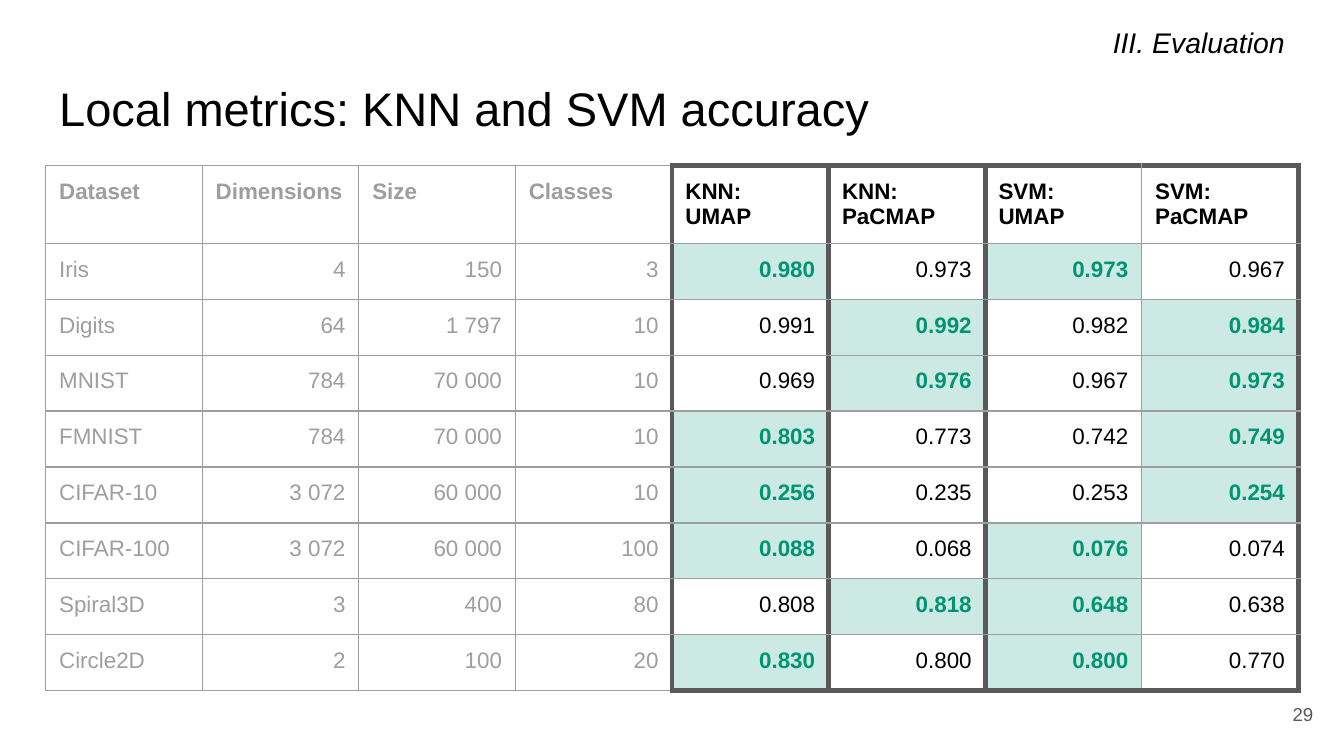
from lxml.etree import SubElement
from pptx import Presentation
from pptx.dml.color import RGBColor
from pptx.enum.text import MSO_ANCHOR, PP_ALIGN
from pptx.oxml import parse_xml
from pptx.oxml.ns import nsdecls, qn
from pptx.util import Inches, Pt

TITLE = "Local metrics: KNN and SVM accuracy"
SECTION = "III. Evaluation"
NUMBER = "29"
HEADS = ["Dataset", "Dimensions", "Size", "Classes",
         "KNN:\nUMAP", "KNN: PaCMAP", "SVM:\nUMAP", "SVM: PaCMAP"]
ROWS = [
    ["Iris", "4", "150", "3", "0.980", "0.973", "0.973", "0.967"],
    ["Digits", "64", "1 797", "10", "0.991", "0.992", "0.982", "0.984"],
    ["MNIST", "784", "70 000", "10", "0.969", "0.976", "0.967", "0.973"],
    ["FMNIST", "784", "70 000", "10", "0.803", "0.773", "0.742", "0.749"],
    ["CIFAR-10", "3 072", "60 000", "10", "0.256", "0.235", "0.253", "0.254"],
    ["CIFAR-100", "3 072", "60 000", "100", "0.088", "0.068", "0.076", "0.074"],
    ["Spiral3D", "3", "400", "80", "0.808", "0.818", "0.648", "0.638"],
    ["Circle2D", "2", "100", "20", "0.830", "0.800", "0.800", "0.770"],
]
THEME = {
    "font": "Arial", "ink": "000000", "muted": "9E9E9E", "frame": "595959",
    "best": "009473", "tint": 20, "thin": 0.75, "thick": 3,
    "title": 25.2, "section": 15.2, "cell": 12, "number": 10,
}
PAGE = 10
LEFT, WIDTH, BAND = 0.34, 9.32, 0.63
TOP, HEIGHT, HEAD = 1.23, 3.9, 0.57
PAD, TIGHT = 0.1, 0.08
FIRST = 4
FRAMED = {4, 5, 6, 8}


def write(frame, text, size, color, align=PP_ALIGN.LEFT, bold=False, italic=False):
    for i, line in enumerate(text.split("\n")):
        para = frame.paragraphs[0] if i == 0 else frame.add_paragraph()
        para.alignment = align
        run = para.add_run()
        run.text = line
        font = run.font
        font.name, font.size = THEME["font"], Pt(THEME[size])
        font.bold, font.italic = bold, italic
        font.color.rgb = RGBColor.from_string(THEME[color])


def place(shape, left, top, width, height, anchor):
    shape.left, shape.top = Inches(left), Inches(top)
    shape.width, shape.height = Inches(width), Inches(height)
    frame = shape.text_frame
    frame.word_wrap = True
    frame.vertical_anchor = anchor
    pad(frame)
    return frame


def pad(box, bottom=PAD):
    box.margin_left = box.margin_right = box.margin_top = Inches(PAD)
    box.margin_bottom = Inches(bottom)


def paint(cell, best):
    if not best:
        cell.fill.background()
        return
    cell.fill.solid()
    cell.fill.fore_color.rgb = RGBColor.from_string(THEME["best"])
    color = cell._tc.tcPr.find(".//" + qn("a:srgbClr"))
    SubElement(color, qn("a:alpha")).set("val", str(THEME["tint"] * 1000))


def edge(cell, heavy):
    for i, side in enumerate("LRTB"):
        width, color = ("thick", "frame") if side in heavy else ("thin", "muted")
        cell._tc.tcPr.insert(i, parse_xml(
            f'<a:ln{side} {nsdecls("a")} w="{Pt(THEME[width])}">'
            f'<a:solidFill><a:srgbClr val="{THEME[color]}"/></a:solidFill>'
            f'</a:ln{side}>'))


def sides(row, col):
    heavy = ""
    if col in FRAMED:
        heavy += "L"
    if col + 1 in FRAMED:
        heavy += "R"
    if col >= FIRST and row == 0:
        heavy += "T"
    if col >= FIRST and row == len(ROWS):
        heavy += "B"
    return heavy


def is_best(row, col):
    if row == 0 or col < FIRST:
        return False
    start = col - (col - FIRST) % 2
    pair = ROWS[row - 1][start:start + 2]
    return ROWS[row - 1][col] == max(pair, key=float)


def fill_grid(grid):
    for r, texts in enumerate([HEADS] + ROWS):
        for c, text in enumerate(texts):
            cell = grid.cell(r, c)
            best = is_best(r, c)
            color = "best" if best else "muted" if c < FIRST else "ink"
            align = PP_ALIGN.RIGHT if r and c else PP_ALIGN.LEFT
            pad(cell, PAD if r else TIGHT)
            cell.vertical_anchor = MSO_ANCHOR.TOP
            write(cell.text_frame, text, "cell", color, align, best or r == 0)
            paint(cell, best)
            edge(cell, sides(r, c))


def main():
    deck = Presentation()
    deck.slide_width, deck.slide_height = Inches(PAGE), Inches(PAGE * 9 / 16)
    slide = deck.slides.add_slide(deck.slide_layouts[5])
    shapes = slide.shapes

    frame = place(shapes.title, LEFT, 0.49, WIDTH, BAND, MSO_ANCHOR.TOP)
    write(frame, TITLE, "title", "ink")

    for text, area, size, color, italic in [
        (SECTION, (LEFT, 0, WIDTH, BAND), "section", "ink", True),
        (NUMBER, (9.27, 5.1, 0.6, 0.43), "number", "frame", False),
    ]:
        box = shapes.add_textbox(0, 0, 0, 0)
        frame = place(box, *area, MSO_ANCHOR.MIDDLE)
        write(frame, text, size, color, PP_ALIGN.RIGHT, italic=italic)

    grid = shapes.add_table(len(ROWS) + 1, len(HEADS), Inches(LEFT), Inches(TOP),
                            Inches(WIDTH), Inches(HEIGHT)).table
    grid.first_row = grid.horz_banding = False
    for col in grid.columns:
        col.width = Inches(WIDTH / len(HEADS))
    for i, row in enumerate(grid.rows):
        row.height = Inches((HEIGHT - HEAD) / len(ROWS) if i else HEAD)
    fill_grid(grid)

    deck.save("out.pptx")


if __name__ == "__main__":
    main()
